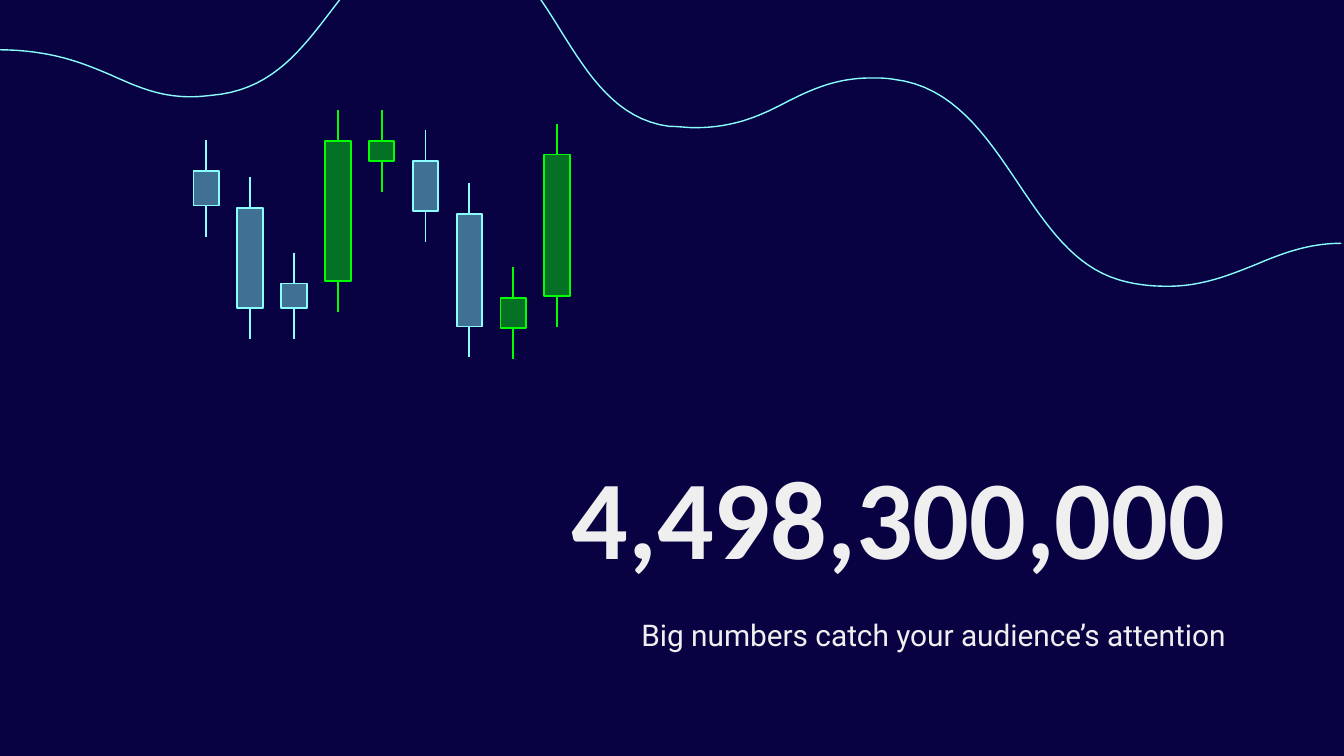
from pptx import Presentation
from pptx import util as u
from pptx.dml.color import RGBColor
from pptx.enum import shapes, text
from pptx.oxml.ns import qn
from lxml import etree

THEME = {
    "back": "080243", "ink": "EFEFEF", "fall": "89FFFF", "rise": "00FF00",
    "head": "Calibri", "body": "Roboto", "big": 60, "small": 16,
    "wave": 0.75, "edge": 1, "alpha": 44,
}

# wording, top, height, format
TEXTS = [
    ("4,498,300,000", 3.18, 1.25,
     dict(font="head", size="big", bold=True, anchor="BOTTOM")),
    ("Big numbers catch your audience’s attention", 4.49, 0.54,
     dict(font="body", size="small")),
]

# trend, body top, body bottom
CANDLES = [
    ("fall", 1.27, 1.53), ("fall", 1.55, 2.29), ("fall", 2.11, 2.29),
    ("rise", 1.05, 2.09), ("rise", 1.05, 1.20), ("fall", 1.20, 1.57),
    ("fall", 1.59, 2.43), ("rise", 2.22, 2.44), ("rise", 1.15, 2.20),
]
FIRST, LAST, WIDE, WICK = 1.44, 4.05, 0.19, 0.23

# cubic curve: a start, then two handles and an end per bend
START = (-0.02, 0.37)
BENDS = [
    ((0.38, 0.37), (0.62, 0.47), (0.83, 0.56)),
    ((1.01, 0.64), (1.18, 0.72), (1.42, 0.72)),
    ((1.49, 0.72), (1.57, 0.71), (1.65, 0.70)),
    ((2.04, 0.64), (2.25, 0.36), (2.45, 0.10)),
    ((2.67, -0.19), (2.88, -0.46), (3.32, -0.46)),
    ((3.75, -0.46), (3.97, -0.10), (4.18, 0.24)),
    ((4.38, 0.56), (4.59, 0.89), (4.98, 0.94)),
    ((5.05, 0.94), (5.11, 0.95), (5.17, 0.95)),
    ((5.48, 0.95), (5.68, 0.85), (5.87, 0.75)),
    ((6.05, 0.66), (6.23, 0.58), (6.48, 0.58)),
    ((6.54, 0.58), (6.59, 0.58), (6.65, 0.59)),
    ((7.09, 0.64), (7.34, 1.01), (7.58, 1.37)),
    ((7.79, 1.68), (7.99, 1.98), (8.32, 2.08)),
    ((8.45, 2.12), (8.58, 2.13), (8.69, 2.13)),
    ((8.94, 2.13), (9.14, 2.05), (9.34, 1.97)),
    ((9.53, 1.89), (9.73, 1.81), (9.98, 1.81)),
]
STEPS = 16


def tint(name):
    return RGBColor.from_string(THEME[name])


def stroke(shape, name, width="edge"):
    shape.line.color.rgb = tint(name)
    shape.line.width = u.Pt(THEME[width])


def add_text(slide, words, top, high, font, size, bold=False, anchor="TOP"):
    box = slide.shapes.add_textbox(
        u.Inches(2.03), u.Inches(top), u.Inches(7.19), u.Inches(high))
    frame = box.text_frame
    frame.word_wrap = True
    frame.vertical_anchor = text.MSO_ANCHOR[anchor]
    frame.margin_left = frame.margin_right = u.Inches(0.1)
    frame.margin_top = frame.margin_bottom = u.Inches(0.1)
    para = frame.paragraphs[0]
    para.alignment = text.PP_ALIGN.RIGHT
    run = para.add_run()
    run.text = words
    run.font.name = THEME[font]
    run.font.size = u.Pt(THEME[size])
    run.font.bold = bold
    run.font.color.rgb = tint("ink")


def add_wave(slide):
    """Draw the bends as one open outline of short steps."""
    dots, last = [], START
    for one, two, end in BENDS:
        for step in range(1, STEPS + 1):
            t = step / STEPS
            s = 1 - t
            dots.append([
                u.Inches(s**3 * a + 3 * s * s * t * b + 3 * s * t * t * c + t**3 * d)
                for a, b, c, d in zip(last, one, two, end)])
        last = end
    pen = slide.shapes.build_freeform(*map(u.Inches, START))
    pen.add_line_segments(dots, close=False)
    wave = pen.convert_to_shape()
    wave.shadow.inherit = False
    wave.fill.background()
    stroke(wave, "fall", "wave")


def add_wick(slide, x, top, name):
    wick = slide.shapes.add_connector(
        shapes.MSO_CONNECTOR.STRAIGHT, u.Inches(x), u.Inches(top),
        u.Inches(x), u.Inches(top + WICK))
    stroke(wick, name)
    etree.SubElement(wick.element.spPr, qn("a:effectLst"))


def add_candle(slide, left, name, top, base):
    bar = slide.shapes.add_shape(
        shapes.MSO_SHAPE.RECTANGLE, u.Inches(left), u.Inches(top),
        u.Inches(WIDE), u.Inches(base - top))
    bar.shadow.inherit = False
    bar.fill.solid()
    bar.fill.fore_color.rgb = tint(name)
    hue = bar.element.spPr.find(qn("a:solidFill"))[0]
    etree.SubElement(hue, qn("a:alpha"), val=str(THEME["alpha"] * 1000))
    stroke(bar, name)
    for start in (base, top - WICK):
        add_wick(slide, left + WIDE / 2, start, name)


def main():
    deck = Presentation()
    deck.slide_width = u.Inches(10)
    deck.slide_height = deck.slide_width * 9 // 16
    slide = deck.slides.add_slide(deck.slide_layouts[6])
    slide.background.fill.solid()
    slide.background.fill.fore_color.rgb = tint("back")
    for words, top, high, style in TEXTS:
        add_text(slide, words, top, high, **style)
    add_wave(slide)
    gap = (LAST - FIRST) / (len(CANDLES) - 1)
    for i, candle in enumerate(CANDLES):
        add_candle(slide, FIRST + i * gap, *candle)
    deck.save("out.pptx")


if __name__ == "__main__":
    main()
